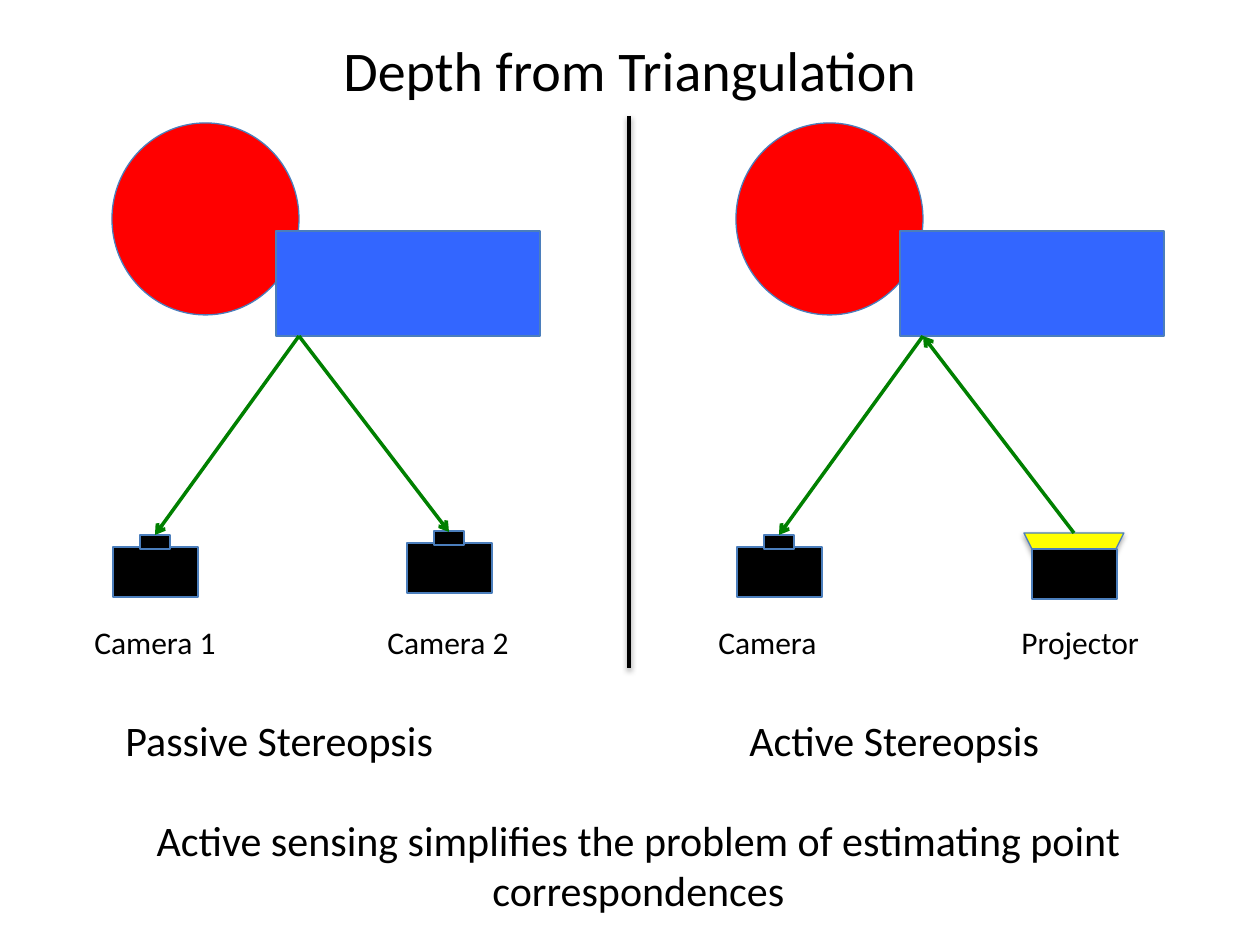
import pptx
import pptx.util
import pptx.dml.color
import pptx.enum.shapes
import pptx.enum.text
import pptx.oxml
import pptx.oxml.ns

EMU_PER_PX = 914400 // 126
SHAPE = pptx.enum.shapes.MSO_SHAPE
ALIGN = pptx.enum.text.PP_ALIGN
ANCHOR = pptx.enum.text.MSO_ANCHOR

THEME = {
    "font": "Calibri",
    "title": 32, "body": 24, "label": 18,
    "thin": 0.75, "thick": 2,
    "ink": "000000", "outline": "4B7EBC", "ball": "FF0000",
    "block": "3366FF", "lens": "FFFF00", "ray": "008000",
}

TITLE = "Depth from Triangulation"
CONCLUSION = "Active sensing simplifies the problem of estimating point correspondences"

# Device: kind, body left and top, label, label left, label width.
# Ray: end point, and which end carries the arrowhead.
PANELS = [
    {"heading": "Passive Stereopsis",
     "devices": [("camera", 113, 547, "Camera 1", 82, 149),
                 ("camera", 407, 543, "Camera 2", 375, 149)],
     "rays": [((155, 535), "tailEnd"), ((449, 532), "tailEnd")]},
    {"heading": "Active Stereopsis",
     "devices": [("camera", 113, 547, "Camera", 82, 125),
                 ("projector", 408, 549, "Projector", 385, 145)],
     "rays": [((155, 535), "tailEnd"), ((450, 533), "headEnd")]},
]
PANEL_STEP = 624
SCENE_POINT = (299, 336)
BALL = (112, 123, 187, 192)
BLOCK = (276, 231, 264, 105)
BODY_SIZE = (85, 50)
DIVIDER = ((629, 116), (629, 668))


def emu(*lengths):
    return [pptx.util.Emu(n * EMU_PER_PX) for n in lengths]


def rgb(name):
    return pptx.dml.color.RGBColor.from_string(THEME[name])


def set_effects(sp, shadow=None):
    """Replace inherited effects by none, or by a (alpha %, distance pt) shadow."""
    inner = ""
    if shadow:
        alpha, dist = shadow
        inner = (f'<a:outerShdw blurRad="{pptx.util.Pt(3.1)}" dist="{pptx.util.Pt(dist)}" '
                 f'dir="5400000" rotWithShape="0"><a:srgbClr val="{THEME["ink"]}">'
                 f'<a:alpha val="{alpha * 1000}"/></a:srgbClr></a:outerShdw>')
    ns = pptx.oxml.ns.nsdecls("a")
    sp._element.spPr.append(
        pptx.oxml.parse_xml(f"<a:effectLst {ns}>{inner}</a:effectLst>"))


def add_shape(s, kind, box, fill, shadow=None):
    sp = s.shapes.add_shape(kind, *emu(*box))
    sp.fill.solid()
    sp.fill.fore_color.rgb = rgb(fill)
    sp.line.color.rgb = rgb("outline")
    sp.line.width = pptx.util.Pt(THEME["thin"])
    set_effects(sp, shadow)


def add_line(s, start, end, color, arrow=None, shadow=None):
    line = s.shapes.add_connector(
        pptx.enum.shapes.MSO_CONNECTOR.STRAIGHT, *emu(*start, *end))
    line.line.color.rgb = rgb(color)
    line.line.width = pptx.util.Pt(THEME["thick"])
    if arrow:
        ns = pptx.oxml.ns.nsdecls("a")
        line.line._get_or_add_ln().append(
            pptx.oxml.parse_xml(f'<a:{arrow} {ns} type="arrow"/>'))
    set_effects(line, shadow)


def add_text(s, text, box, size, align=ALIGN.LEFT, wrap=True, anchor=ANCHOR.TOP):
    tf = s.shapes.add_textbox(*emu(*box)).text_frame
    tf.word_wrap = wrap
    tf.vertical_anchor = anchor
    p = tf.paragraphs[0]
    p.alignment = align
    r = p.add_run()
    r.text = text
    for name, value in {"name": THEME["font"], "size": pptx.util.Pt(THEME[size])}.items():
        setattr(r.font, name, value)
    r.font.color.rgb = rgb("ink")


def add_device(s, kind, x, y):
    body = (x, y, *BODY_SIZE)
    if kind == "projector":
        add_shape(s, SHAPE.FLOWCHART_MANUAL_OPERATION, (x - 8, y - 16, 100, 40),
                  "lens", shadow=(35, 1.8))
        add_shape(s, SHAPE.RECTANGLE, body, "ink")
    else:
        add_shape(s, SHAPE.RECTANGLE, body, "ink")
        add_shape(s, SHAPE.RECTANGLE, (x + 27, y - 12, 30, 14), "ink")


def add_panel(s, panel, dx):
    for kind, (x, y, w, h), fill in ((SHAPE.OVAL, BALL, "ball"),
                                     (SHAPE.RECTANGLE, BLOCK, "block")):
        add_shape(s, kind, (x + dx, y, w, h), fill)
    for kind, x, y, label, label_x, label_w in panel["devices"]:
        add_device(s, kind, x + dx, y)
        add_text(s, label, (label_x + dx, 617, label_w, 50), "label", wrap=False)
    for (x, y), arrow in panel["rays"]:
        add_line(s, (SCENE_POINT[0] + dx, SCENE_POINT[1]), (x + dx, y), "ray", arrow)
    add_text(s, panel["heading"], (113 + dx, 708, 421, 63), "body")


def main():
    prs = pptx.Presentation()
    prs.slide_width, prs.slide_height = emu(1260, 945)
    s = prs.slides.add_slide(prs.slide_layouts[6])
    add_text(s, TITLE, (63, 38, 1134, 62), "title", ALIGN.CENTER, anchor=ANCHOR.MIDDLE)
    add_line(s, *DIVIDER, "ink", shadow=(38, 1.6))
    for i, panel in enumerate(PANELS):
        add_panel(s, panel, i * PANEL_STEP)
    add_text(s, CONCLUSION, (112, 808, 1053, 115), "body", ALIGN.CENTER)
    prs.save("out.pptx")


if __name__ == "__main__":
    main()
